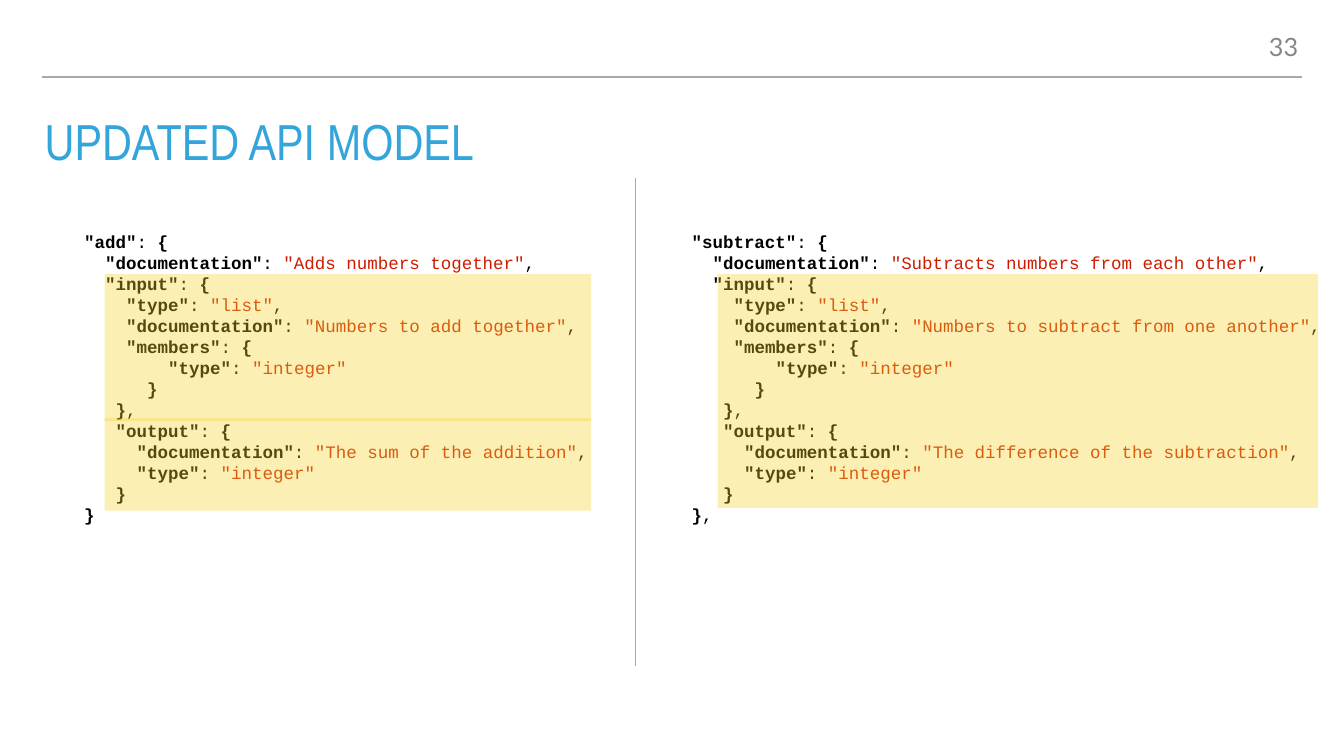
from dataclasses import dataclass

from lxml import etree
from pptx import Presentation
from pptx.dml.color import RGBColor
from pptx.enum.shapes import MSO_CONNECTOR, MSO_SHAPE
from pptx.enum.text import MSO_ANCHOR, MSO_AUTO_SIZE, PP_ALIGN
from pptx.oxml.ns import qn
from pptx.util import Cm, Pt

LEFT, RIGHT = PP_ALIGN.LEFT, PP_ALIGN.RIGHT
TOP, MIDDLE = MSO_ANCHOR.TOP, MSO_ANCHOR.MIDDLE
RECT, STRAIGHT = MSO_SHAPE.RECTANGLE, MSO_CONNECTOR.STRAIGHT
NO_FIT = MSO_AUTO_SIZE.NONE

BLUE, GREY, RULE = "34A5DA", "838787", "A6AAA9"
BLACK, RED, YELLOW = "000000", "CD1D00", "F5D328"
MONO, CODE_SIZE = "Courier New", 25
CHAR = 0.6 * CODE_SIZE  # width of one code letter in points
INSET = 0.15


@dataclass
class Line:
    """One line of code, indented by a number of letters."""
    indent: int
    key: str = ""
    value: str = ""
    end: str = ""


@dataclass
class Model:
    """One API entry, with its place and its highlighted bands."""
    name: str
    about: str
    takes: str
    gives: str
    end: str
    left: float
    width: float
    band_left: float
    band_width: float
    bands: tuple[tuple[float, float], ...]  # top and height


MODELS = [
    Model("add", "Adds numbers together", "Numbers to add together",
          "The sum of the addition", "", 1.98, 28.6, 5.28, 24.51,
          ((13.82, 7.39), (21.08, 4.65))),
    Model("subtract", "Subtracts numbers from each other",
          "Numbers to subtract from one another",
          "The difference of the subtraction", ",", 32.59, 34.95, 36.17, 30.25,
          ((13.82, 7.39), (21.23, 4.37))),
]


def color(code: str) -> RGBColor:
    return RGBColor.from_string(code)


def write(para, text: str, *, font: str, size: float, fill: str, bold: bool = False) -> None:
    run = para.add_run()
    run.text = text
    run.font.name, run.font.size = font, Pt(size)
    run.font.bold = bold
    run.font.color.rgb = color(fill)


def frame(shape, anchor=TOP):
    """Give a text frame even insets and a fixed size."""
    area = shape.text_frame
    area.word_wrap, area.auto_size = True, NO_FIT
    area.vertical_anchor = anchor
    area.margin_left = area.margin_right = Cm(INSET)
    area.margin_top = area.margin_bottom = Cm(INSET)
    return area


def rule(slide, x1: float, y1: float, x2: float, y2: float) -> None:
    line = slide.shapes.add_connector(STRAIGHT, Cm(x1), Cm(y1), Cm(x2), Cm(y2))
    line.line.color.rgb, line.line.width = color(RULE), Pt(2)
    etree.SubElement(line._element.spPr, qn("a:effectLst"))


def band(slide, left: float, top: float, width: float, height: float) -> None:
    box = slide.shapes.add_shape(RECT, Cm(left), Cm(top), Cm(width), Cm(height))
    box.shadow.inherit = False
    box.fill.solid()
    box.fill.fore_color.rgb = color(YELLOW)
    box.line.fill.background()
    tint = box._element.spPr.find(".//" + qn("a:srgbClr"))
    etree.SubElement(tint, qn("a:alpha")).set("val", "35000")


def lines(model: Model) -> list[Line]:
    return [
        Line(4, f'"{model.name}"', "{"),
        Line(6, '"documentation"', f'"{model.about}"', ","),
        Line(6, '"input"', "{"),
        Line(8, '"type"', '"list"', ","),
        Line(8, '"documentation"', f'"{model.takes}"', ","),
        Line(8, '"members"', "{"),
        Line(12, '"type"', '"integer"'),
        Line(10, value="}"),
        Line(7, value="}", end=","),
        Line(7, '"output"', "{"),
        Line(9, '"documentation"', f'"{model.gives}"', ","),
        Line(9, '"type"', '"integer"'),
        Line(7, value="}"),
        Line(4, value="}", end=model.end),
    ]


def code(slide, model: Model) -> None:
    box = slide.shapes.add_textbox(Cm(model.left), Cm(11.73), Cm(model.width), Cm(14.6))
    area = frame(box, MIDDLE)
    for i, line in enumerate(lines(model)):
        para = area.paragraphs[0] if i == 0 else area.add_paragraph()
        para.alignment = LEFT
        para._p.get_or_add_pPr().set("marL", str(Pt(line.indent * CHAR)))
        brace = line.value in ("{", "}")
        parts = [
            (line.key, BLACK, True),
            (": " if line.key else "", BLACK, False),
            (line.value, BLACK if brace else RED, brace),
            (line.end, BLACK, False),
        ]
        for text, fill, bold in parts:
            if text:
                write(para, text, font=MONO, size=CODE_SIZE, fill=fill, bold=bold)


deck = Presentation()
deck.slide_width, deck.slide_height = Cm(67.74), Cm(38.1)
slide = deck.slides.add_slide(deck.slide_layouts[5])

# Header rule and title
rule(slide, 2.1, 3.88, 65.6, 3.88)
title = slide.shapes.title
title.left, title.top, title.width, title.height = Cm(2.1), Cm(6), Cm(63.5), Cm(2.82)
para = frame(title).paragraphs[0]
para.alignment, para.line_spacing, para.space_before = LEFT, 0.8, Pt(32)
write(para, "UPDATED API MODEL", font="Arial Narrow", size=72.2, fill=BLUE)

# Page number
page = slide.shapes.add_textbox(Cm(62.2), Cm(1.7), Cm(3.38), Cm(1.75))
para = frame(page).paragraphs[0]
para.alignment, para.line_spacing = RIGHT, 0.8
write(para, "33", font="Lato", size=36, fill=GREY)

# Code columns, divider and highlights
for model in MODELS:
    code(slide, model)
rule(slide, 32.03, 33.55, 32.03, 8.97)
for model in MODELS:
    for top, height in model.bands:
        band(slide, model.band_left, top, model.band_width, height)

deck.save("out.pptx")
